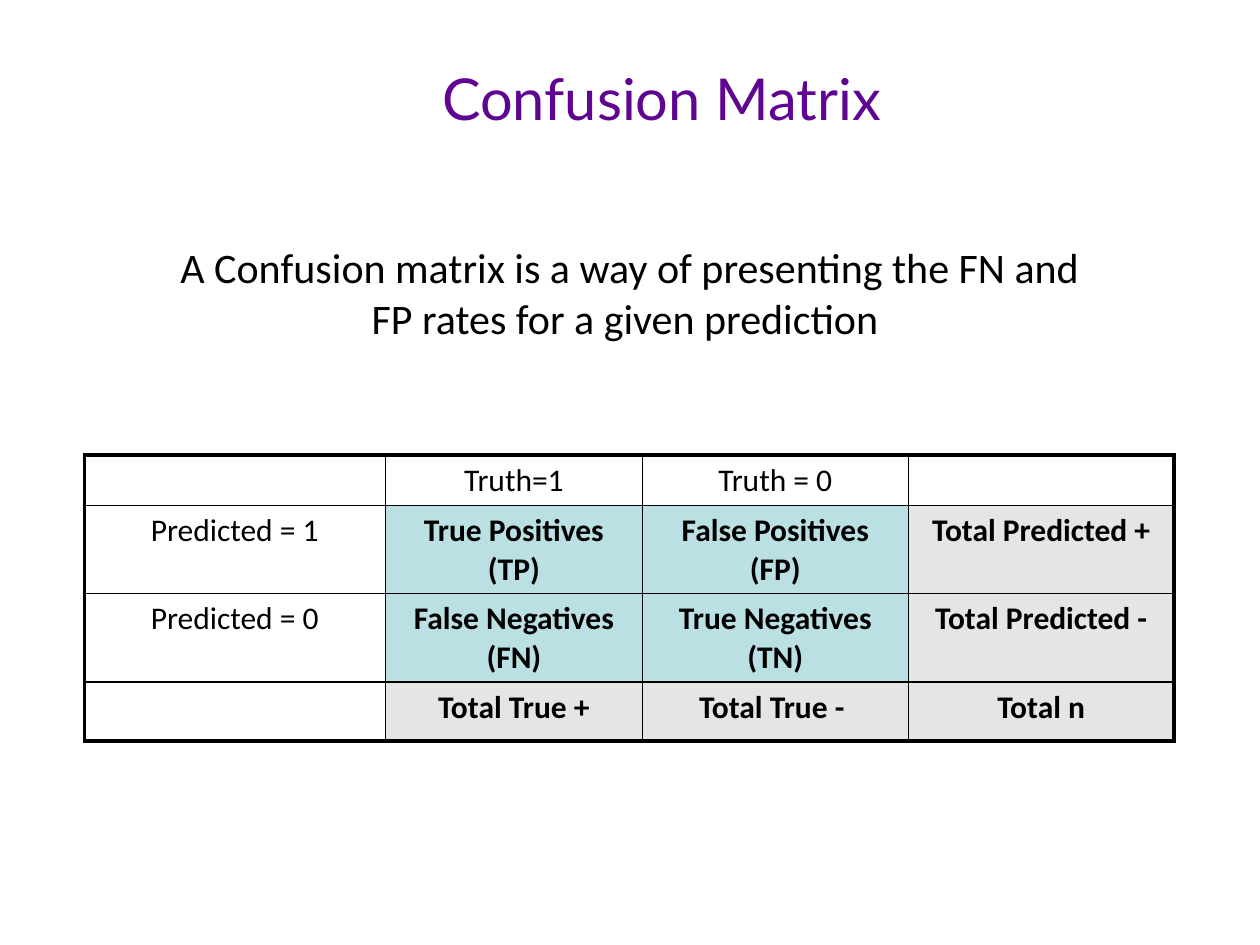
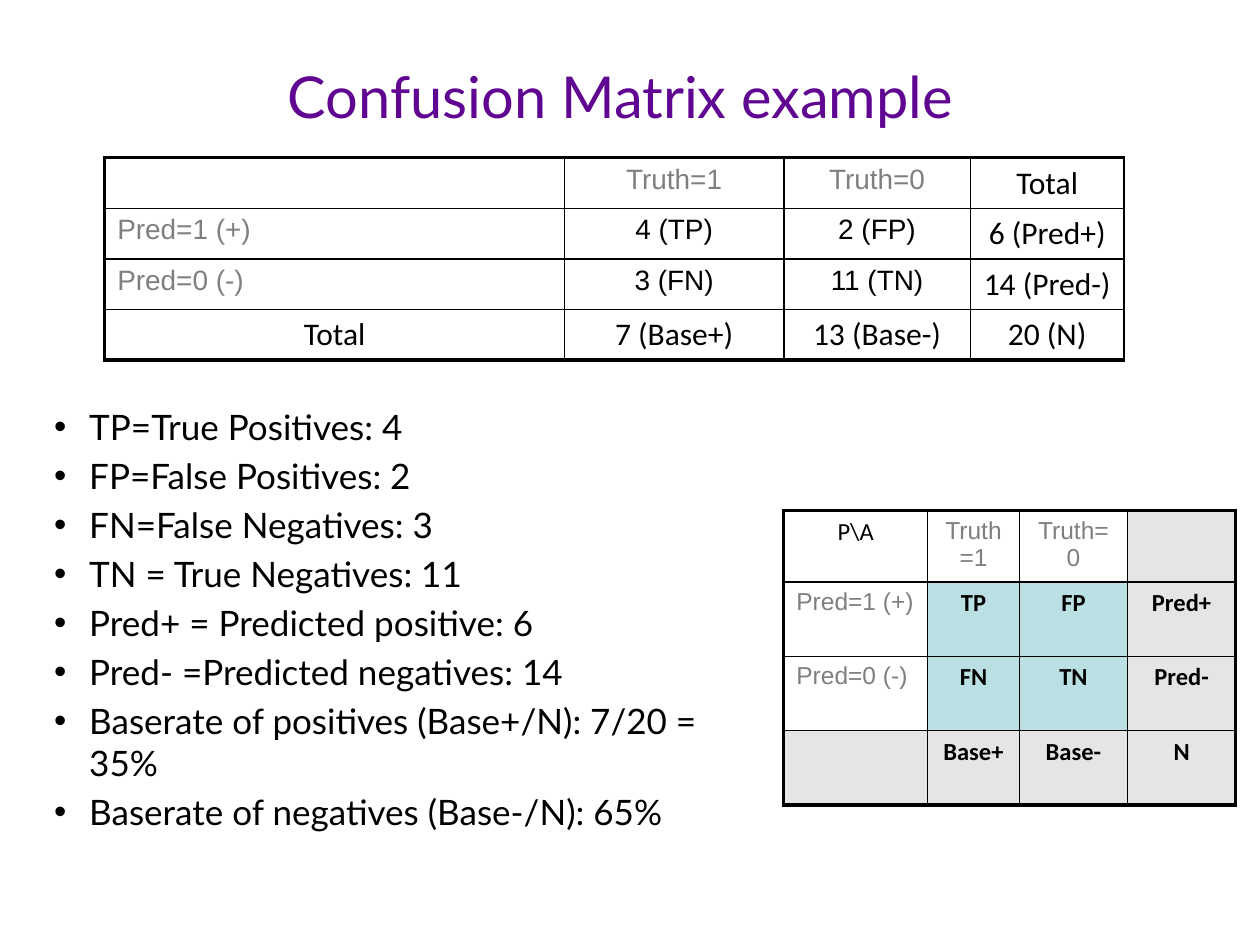
from lxml.etree import SubElement as Sub
from pptx import Presentation as Deck
from pptx.dml.color import RGBColor as RGB
from pptx.enum.text import MSO_ANCHOR as Anchor, PP_ALIGN as Align
from pptx.oxml.ns import qn
from pptx.util import Cm, Pt

HUES = {"title": "600592", "ink": "000000", "dim": "7F7F7F",
        "teal": "BBE0E3", "gray": "E5E5E5"}

# kind: font, text hue, bold, fill hue, alignment
KINDS = {
    "p": ("Calibri", "ink", False, None, Align.CENTER),
    "c": ("Calibri", "ink", True, "teal", Align.CENTER),
    "t": ("Calibri", "ink", True, "gray", Align.CENTER),
    "h": ("Arial", "dim", False, None, Align.CENTER),
    "s": ("Arial", "dim", False, None, Align.LEFT),
    "n": ("Arial", "ink", False, None, Align.CENTER),
}


class Page:
    thin, thick = 1, 2.25

    def __init__(self, deck):
        self.deck = deck
        self.slide = None

    def start(self):
        self.slide = self.deck.slides.add_slide(self.deck.slide_layouts[6])

    def run(self, para, text, font, size, hue, bold=False):
        run = para.add_run()
        run.text = text
        run.font.name = font
        run.font.size = Pt(size)
        run.font.bold = bold
        run.font.color.rgb = RGB.from_string(HUES[hue])

    def frame(self, box):
        frame = self.slide.shapes.add_textbox(*map(Cm, box)).text_frame
        frame.word_wrap = True
        return frame

    def line(self, box, text, font, size, hue, anchor=Anchor.TOP):
        frame = self.frame(box)
        frame.vertical_anchor = anchor
        para = frame.paragraphs[0]
        para.alignment = Align.CENTER
        self.run(para, text, font, size, hue)

    def title(self, box, text):
        self.line(box, text, "Lato", 33, "title", Anchor.MIDDLE)

    def list(self, box, items):
        frame = self.frame(box)
        for i, item in enumerate(items):
            para = frame.add_paragraph() if i else frame.paragraphs[0]
            props = para._p.get_or_add_pPr()
            props.set("marL", str(Cm(0.71)))
            props.set("indent", str(-Cm(0.71)))
            Sub(Sub(props, qn("a:buClr")), qn("a:srgbClr"), val=HUES["ink"])
            Sub(props, qn("a:buFont"), typeface="Arial")
            Sub(props, qn("a:buChar"), char="•")
            if i:
                para.space_before = Pt(4)
            self.run(para, item, "Lato", 20, "ink")

    def edge(self, cell, side, width):
        line = Sub(cell._tc.get_or_add_tcPr(), qn("a:ln" + side), w=str(Pt(width)))
        Sub(Sub(line, qn("a:solidFill")), qn("a:srgbClr"), val=HUES["ink"])

    def cell(self, cell, text, kind, size):
        font, hue, bold, fill, align = KINDS[kind]
        if fill:
            cell.fill.solid()
            cell.fill.fore_color.rgb = RGB.from_string(HUES[fill])
        else:
            cell.fill.background()
        para = cell.text_frame.paragraphs[0]
        para.alignment = align
        if text:
            self.run(para, text, font, size, hue, bold)

    def table(self, spot, cols, rows, texts, kinds, sizes, bold_right=True):
        box = (*spot, sum(cols), sum(rows))
        grid = self.slide.shapes.add_table(len(rows), len(cols), *map(Cm, box)).table
        grid.first_row = grid.horz_banding = False
        for col, width in zip(grid.columns, cols):
            col.width = Cm(width)
        for row, high in zip(grid.rows, rows):
            row.height = Cm(high)
        for r, (words, marks) in enumerate(zip(texts, kinds)):
            for c, (text, kind) in enumerate(zip(words, marks)):
                cell = grid.cell(r, c)
                outer = {"L": c == 0, "R": bold_right and c == len(cols) - 1,
                         "T": r == 0, "B": r == len(rows) - 1}
                for side, rim in outer.items():
                    self.edge(cell, side, self.thick if rim else self.thin)
                self.cell(cell, text, kind, sizes[KINDS[kind][0]])


def matrix(page):
    page.start()
    page.title((0.64, 0.38, 25.4, 3.18), "Confusion Matrix")
    page.line((3.12, 4.75, 19.15, 2.31),
              "A Confusion matrix is a way of presenting the FN and "
              "FP rates for a given prediction ", "Calibri", 24, "ink")
    page.table((1.7, 9.17), (6.07, 5.18, 5.36, 5.36), (0.64, 1.07, 1.19, 1.19),
               [("", "Truth=1", "Truth = 0", ""),
                ("Predicted = 1", "True Positives (TP)", "False Positives (FP)",
                 "Total Predicted +"),
                ("Predicted = 0", "False Negatives (FN)", "True Negatives (TN)",
                 "Total Predicted -"),
                ("", "Total True +", "Total True - ", "Total n")],
               ("pppp", "pcct", "pcct", "pttt"), {"Calibri": 18})


def sample(page):
    page.start()
    page.title((0.84, 1.07, 23.34, 1.7), "Confusion Matrix example")
    page.list((0.84, 8.05, 14.15, 10.39),
              ("TP=True Positives: 4", "FP=False Positives: 2",
               "FN=False Negatives: 3", "TN = True Negatives: 11",
               "Pred+ = Predicted positive: 6", "Pred- =Predicted negatives: 14",
               "Baserate of positives (Base+/N): 7/20 = 35%",
               "Baserate of negatives (Base-/N): 65%"))
    page.table((2.11, 3.18), (9.27, 4.42, 3.76, 3.1), [1.02] * 4,
               [("", "Truth=1", "Truth=0", "Total"),
                ("Pred=1 (+)", "4 (TP)", "2 (FP)", "6 (Pred+)"),
                ("Pred=0 (-)", "3 (FN)", "11 (TN)", "14 (Pred-)"),
                ("Total", "7 (Base+)", "13 (Base-)", "20 (N)")],
               ("phhp", "snnp", "snnp", "pppp"), {"Calibri": 18, "Arial": 16},
               bold_right=False)
    page.table((15.8, 10.29), (2.9, 1.85, 2.18, 2.18), (0.89, 1.5, 1.5, 1.5),
               [("P\\A", "Truth=1", "Truth=0", ""),
                ("Pred=1 (+)", "TP", "FP", "Pred+"),
                ("Pred=0 (-)", "FN", "TN", "Pred-"),
                ("", "Base+", "Base-", "N")],
               ("phht", "scct", "scct", "tttt"), {"Calibri": 14, "Arial": 14})


def main():
    deck = Deck()
    deck.slide_width, deck.slide_height = Cm(25.4), Cm(19.05)
    page = Page(deck)
    matrix(page)
    sample(page)
    deck.save("out.pptx")


if __name__ == "__main__":
    main()
